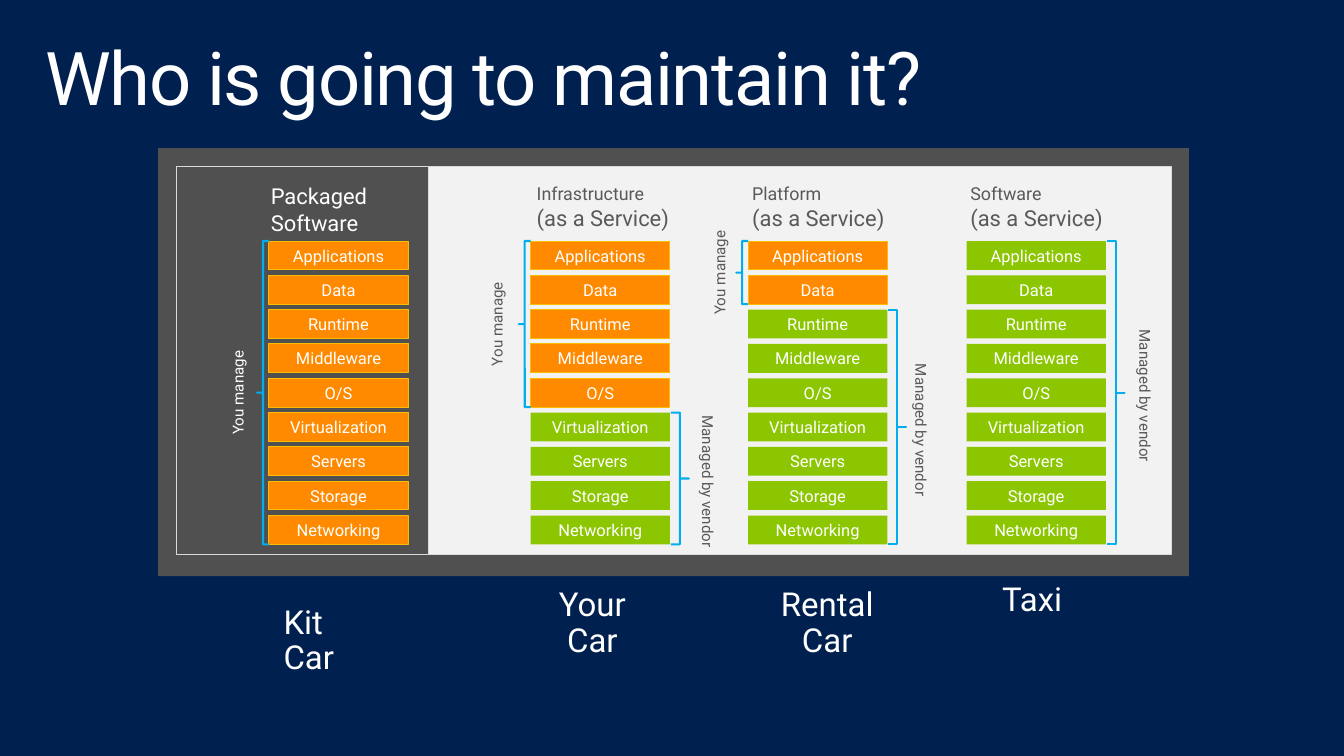
from dataclasses import dataclass
from pptx import Presentation
from pptx.dml.color import RGBColor
from pptx.enum.shapes import MSO_SHAPE
from pptx.enum.text import MSO_ANCHOR, MSO_AUTO_SIZE, PP_ALIGN
from pptx.util import Pt


@dataclass(frozen=True)
class Theme:
    font: str = "Roboto"
    navy: str = "002050"
    frame: str = "505050"
    panel: str = "F2F2F2"
    border: str = "D9D9D9"
    white: str = "FFFFFF"
    grey: str = "595959"
    orange: str = "FF8A00"
    gold: str = "F9BC00"
    green: str = "8CC600"
    blue: str = "00AEEF"
    title: int = 54
    caption: int = 24
    heading: int = 16
    service: int = 13
    layer: int = 12
    label: int = 11


theme = Theme()

LAYERS = ["Applications", "Data", "Runtime", "Middleware", "O/S",
          "Virtualization", "Servers", "Storage", "Networking"]
TOP, PITCH, LAYER_WIDTH, LAYER_HEIGHT = 175.6, 25, 101.5, 21
LABEL_WIDTH, LABEL_HEIGHT = 28, 106
LEFT_BRACE, RIGHT_BRACE = 8.6, 13

# fmt: off
COLUMNS = [
    (195.9, 197.3, [("Packaged Software", theme.heading)], theme.white, 9, 19, 0),
    (386.6, 391, [("Infrastructure", theme.service), ("(as a Service)", theme.heading)], theme.grey, 5, 21, 24),
    (545, 548, [("Platform", theme.service), ("(as a Service)", theme.heading)], theme.grey, 2, 17, 21),
    (704.2, 707, [("Software", theme.service), ("(as a Service)", theme.heading)], theme.grey, 0, 0, 25),
]
# fmt: on

CAPTIONS = [("Kit Car", 192.2, 429.8, 96, PP_ALIGN.LEFT),
            ("Your Car", 386.6, 416.9, 90, PP_ALIGN.CENTER),
            ("Rental Car", 553, 416.9, 99.4, PP_ALIGN.CENTER),
            ("Taxi", 715.7, 413.3, 77.8, PP_ALIGN.LEFT)]


def add_box(kind, left, top, width, height, fill=None, line=None, weight=0.75):
    box = page.shapes.add_shape(kind, Pt(left), Pt(top), Pt(width), Pt(height))
    box.shadow.inherit = False
    if fill:
        box.fill.solid()
        box.fill.fore_color.rgb = RGBColor.from_string(fill)
    else:
        box.fill.background()
    if line:
        box.line.color.rgb = RGBColor.from_string(line)
        box.line.width = Pt(weight)
    else:
        box.line.fill.background()
    return box


def write(box, lines, color, align=PP_ALIGN.LEFT, margins=(0, 0), wrap=True):
    frame = box.text_frame
    frame.word_wrap = wrap
    frame.auto_size = MSO_AUTO_SIZE.NONE
    frame.margin_left = frame.margin_right = Pt(margins[0])
    frame.margin_top = frame.margin_bottom = Pt(margins[1])
    frame.text = "\n".join(text for text, size in lines)
    for para, (text, size) in zip(frame.paragraphs, lines):
        para.alignment = align
        for span in para.runs:
            span.font.name = theme.font
            span.font.size = Pt(size)
            span.font.color.rgb = RGBColor.from_string(color)
    return frame.paragraphs[0]


deck = Presentation()
deck.slide_width, deck.slide_height = Pt(979.2), Pt(550.8)
page = deck.slides.add_slide(deck.slide_layouts[5])
page.background.fill.solid()
page.background.fill.fore_color.rgb = RGBColor.from_string(theme.navy)

title = page.shapes.title
title.left, title.top, title.width, title.height = Pt(21.6), Pt(23), Pt(936), Pt(72)
para = write(title, [("Who is going to maintain it?", theme.title)], theme.white, margins=(11.5, 7.2))
para.line_spacing = 0.9
para.runs[0]._r.get_or_add_rPr().set("spc", "-100")
title.text_frame.vertical_anchor = MSO_ANCHOR.TOP

add_box(MSO_SHAPE.RECTANGLE, 115.2, 108, 751, 311.8, theme.frame)
add_box(MSO_SHAPE.RECTANGLE, 312.5, 121, 540.7, 283, theme.panel, theme.border)
add_box(MSO_SHAPE.RECTANGLE, 128.9, 121, 183.6, 283, line=theme.border)

for left, heading_left, heading, color, managed, left_gap, right_gap in COLUMNS:
    box = page.shapes.add_textbox(Pt(heading_left), Pt(133.4), Pt(115), Pt(36))
    write(box, heading, color)

    for row, layer in enumerate(LAYERS):
        fill, line = (theme.orange, theme.gold) if row < managed else (theme.green, None)
        box = add_box(MSO_SHAPE.RECTANGLE, left, TOP + row * PITCH, LAYER_WIDTH, LAYER_HEIGHT, fill, line)
        write(box, [(layer, theme.layer)], theme.white, PP_ALIGN.CENTER)

    right = left + LAYER_WIDTH
    sides = [
        ("You manage", "vert270", MSO_SHAPE.LEFT_BRACE, 0, managed,
         left - LEFT_BRACE, LEFT_BRACE, left - left_gap),
        ("Managed by vendor", "eaVert", MSO_SHAPE.RIGHT_BRACE, managed, len(LAYERS),
         right + 0.7, RIGHT_BRACE, right + right_gap),
    ]
    for label, direction, kind, first, end, brace_left, brace_width, label_center in sides:
        if first == end:
            continue
        brace_top = TOP + first * PITCH
        brace_height = (end - first - 1) * PITCH + LAYER_HEIGHT
        brace = add_box(kind, brace_left, brace_top, brace_width, brace_height, line=theme.blue, weight=1.5)
        brace.adjustments[0] = 0
        brace.adjustments[1] = 0.5
        box = page.shapes.add_textbox(
            Pt(label_center - LABEL_WIDTH / 2), Pt(brace_top + (brace_height - LABEL_HEIGHT) / 2),
            Pt(LABEL_WIDTH), Pt(LABEL_HEIGHT))
        write(box, [(label, theme.label)], color, PP_ALIGN.CENTER, (7.2, 3.6), wrap=False)
        box.element.txBody.bodyPr.set("vert", direction)

for caption, left, top, width, align in CAPTIONS:
    box = page.shapes.add_textbox(Pt(left), Pt(top), Pt(width), Pt(75.6))
    para = write(box, [(caption, theme.caption)], theme.white, align, (14.4, 11.5))
    para.line_spacing = 0.9
    para.space_after = Pt(6)

deck.save("out.pptx")
